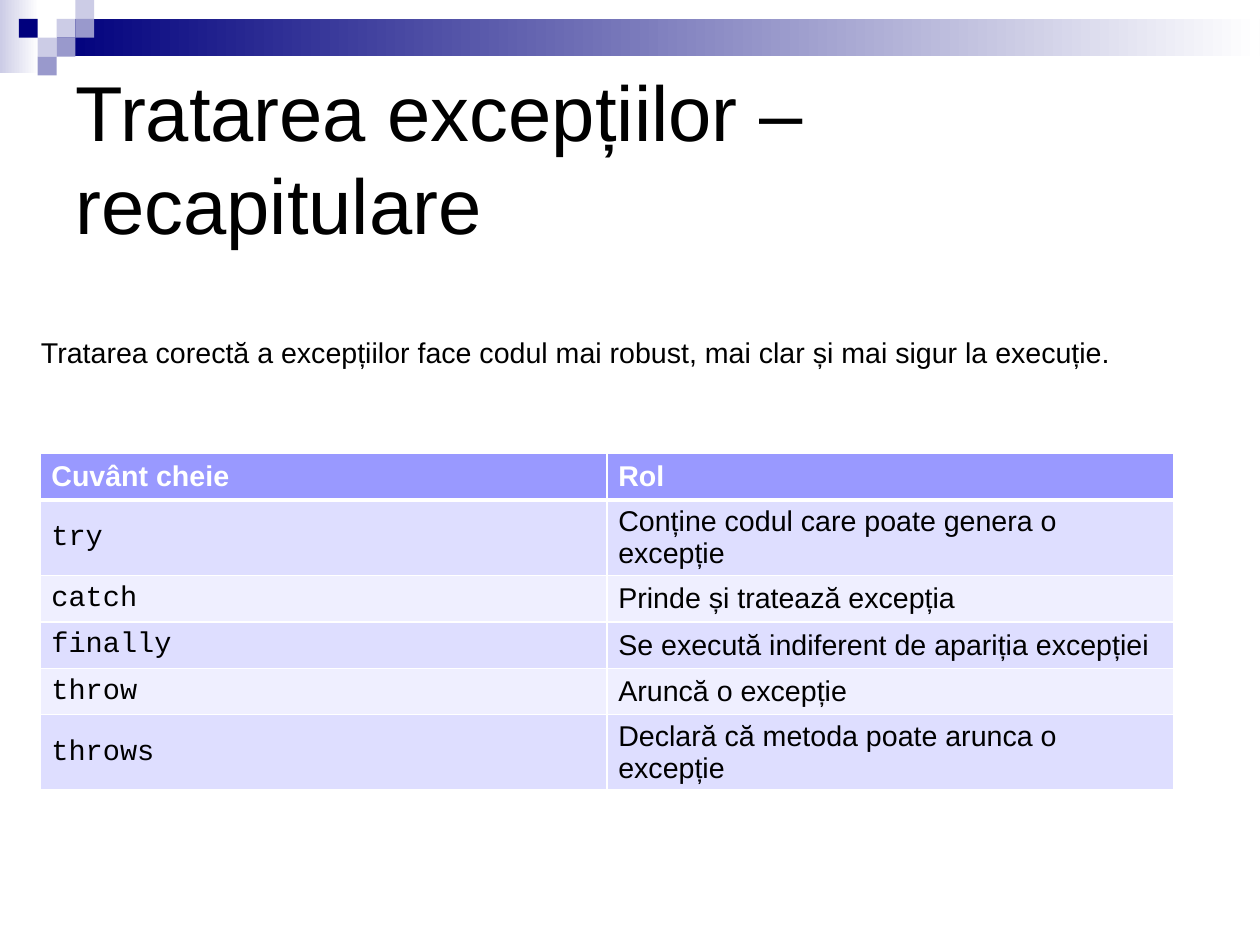
from lxml import etree
from pptx import Presentation
from pptx.dml.color import RGBColor
from pptx.enum.shapes import MSO_SHAPE
from pptx.enum.text import MSO_ANCHOR, MSO_AUTO_SIZE, PP_ALIGN
from pptx.oxml.ns import qn
from pptx.util import Cm, Inches, Pt

RECTANGLE = MSO_SHAPE.RECTANGLE
MIDDLE = MSO_ANCHOR.MIDDLE
LEFT = PP_ALIGN.LEFT
NO_AUTOFIT = MSO_AUTO_SIZE.NONE
GROW = MSO_AUTO_SIZE.SHAPE_TO_FIT_TEXT

TITLE = "Tratarea excepțiilor – recapitulare"
SUMMARY = ("Tratarea corectă a excepțiilor face codul mai robust, "
           "mai clar și mai sigur la execuție.")
ROWS = [
    ("Cuvânt cheie", "Rol"),
    ("try", "Conține codul care poate genera o excepție"),
    ("catch", "Prinde și tratează excepția"),
    ("finally", "Se execută indiferent de apariția excepției"),
    ("throw", "Aruncă o excepție"),
    ("throws", "Declară că metoda poate arunca o excepție"),
]

BLACK, WHITE = "000000", "FFFFFF"
NAVY, LAVENDER, PALE = "00007D", "9999CC", "CCCCE6"
HEADER_FILL, BAND_FILLS = "9999FF", ("EFEFFF", "DEDEFF")

# left, top, width, height, first colour of a fade to white
FADES = [(0, 0, 0.34, 0.64, PALE), (0.5, 0.17, 10.52, 0.32, NAVY)]
# column, row, colour on the grid of small squares
SQUARES = [(3, 1, PALE), (4, 0, PALE), (4, 1, LAVENDER), (2, 2, PALE),
           (1, 1, NAVY), (3, 2, LAVENDER), (2, 3, LAVENDER)]
SQUARE = 0.66 / 4


def rgb(value):
    return RGBColor.from_string(value)


def set_font(para, size, color, name="Arial", bold=False):
    para.alignment = LEFT
    font = para.font
    font.size, font.name, font.bold = Pt(size), name, bold
    font.color.rgb = rgb(color)


def add_rectangle(slide, left, top, width, height):
    box = slide.shapes.add_shape(RECTANGLE, Inches(left), Inches(top),
                                 Inches(width), Inches(height))
    box.shadow.inherit = False
    box.line.fill.background()
    return box


def add_decoration(slide):
    for left, top, width, height, color in FADES:
        fill = add_rectangle(slide, left, top, width, height).fill
        fill.gradient()
        fill.gradient_angle = 0
        for stop, stop_color in zip(fill.gradient_stops, (color, WHITE)):
            stop.color.rgb = rgb(stop_color)
    for column, row, color in SQUARES:
        box = add_rectangle(slide, column * SQUARE, row * SQUARE, SQUARE, SQUARE)
        box.fill.solid()
        box.fill.fore_color.rgb = rgb(color)


def set_borders(cell, top, bottom):
    """Draw white cell borders; top and bottom widths are in points."""
    properties = cell._tc.get_or_add_tcPr()
    widths = {"a:lnL": 1, "a:lnR": 1, "a:lnT": top, "a:lnB": bottom}
    for index, (tag, width) in enumerate(widths.items()):
        line = etree.Element(qn(tag), w=str(Pt(width)))
        fill = etree.SubElement(line, qn("a:solidFill"))
        etree.SubElement(fill, qn("a:srgbClr"), val=WHITE)
        properties.insert(index, line)


def add_keyword_table(slide):
    row_height = Pt(29.2)
    table = slide.shapes.add_table(len(ROWS), 2, Inches(0.35), Inches(3.97),
                                   Inches(9.92), row_height * len(ROWS)).table
    for row, texts in enumerate(ROWS):
        table.rows[row].height = row_height
        header = row == 0
        for column, text in enumerate(texts):
            cell = table.cell(row, column)
            cell.text = text
            cell.vertical_anchor = MIDDLE
            cell.fill.solid()
            cell.fill.fore_color.rgb = rgb(HEADER_FILL if header else BAND_FILLS[row % 2])
            set_borders(cell, top=3 if row == 1 else 1, bottom=3 if header else 1)
            code = column == 0 and not header
            set_font(cell.text_frame.paragraphs[0], 18, WHITE if header else BLACK,
                     "Courier New" if code else "Arial", header)


def main():
    deck = Presentation()
    deck.slide_width = Cm(28)
    deck.slide_height = Cm(21)
    slide = deck.slides.add_slide(deck.slide_layouts[5])
    add_decoration(slide)

    title = slide.shapes.title
    title.left, title.top = Inches(0.55), Inches(0.55)
    title.width, title.height = Inches(10.08), Inches(1.65)
    frame = title.text_frame
    frame.text = TITLE
    frame.word_wrap, frame.auto_size = True, NO_AUTOFIT
    frame.vertical_anchor = MIDDLE
    frame.margin_left = frame.margin_right = Inches(0.11)
    frame.margin_top = frame.margin_bottom = Inches(0.06)
    set_font(frame.paragraphs[0], 49, BLACK)

    add_keyword_table(slide)

    summary = slide.shapes.add_textbox(Inches(0.26), Inches(2.88),
                                       Inches(10.08), Inches(0.4))
    frame = summary.text_frame
    frame.text = SUMMARY
    frame.word_wrap, frame.auto_size = True, GROW
    set_font(frame.paragraphs[0], 18, BLACK)

    deck.save("out.pptx")


if __name__ == "__main__":
    main()
